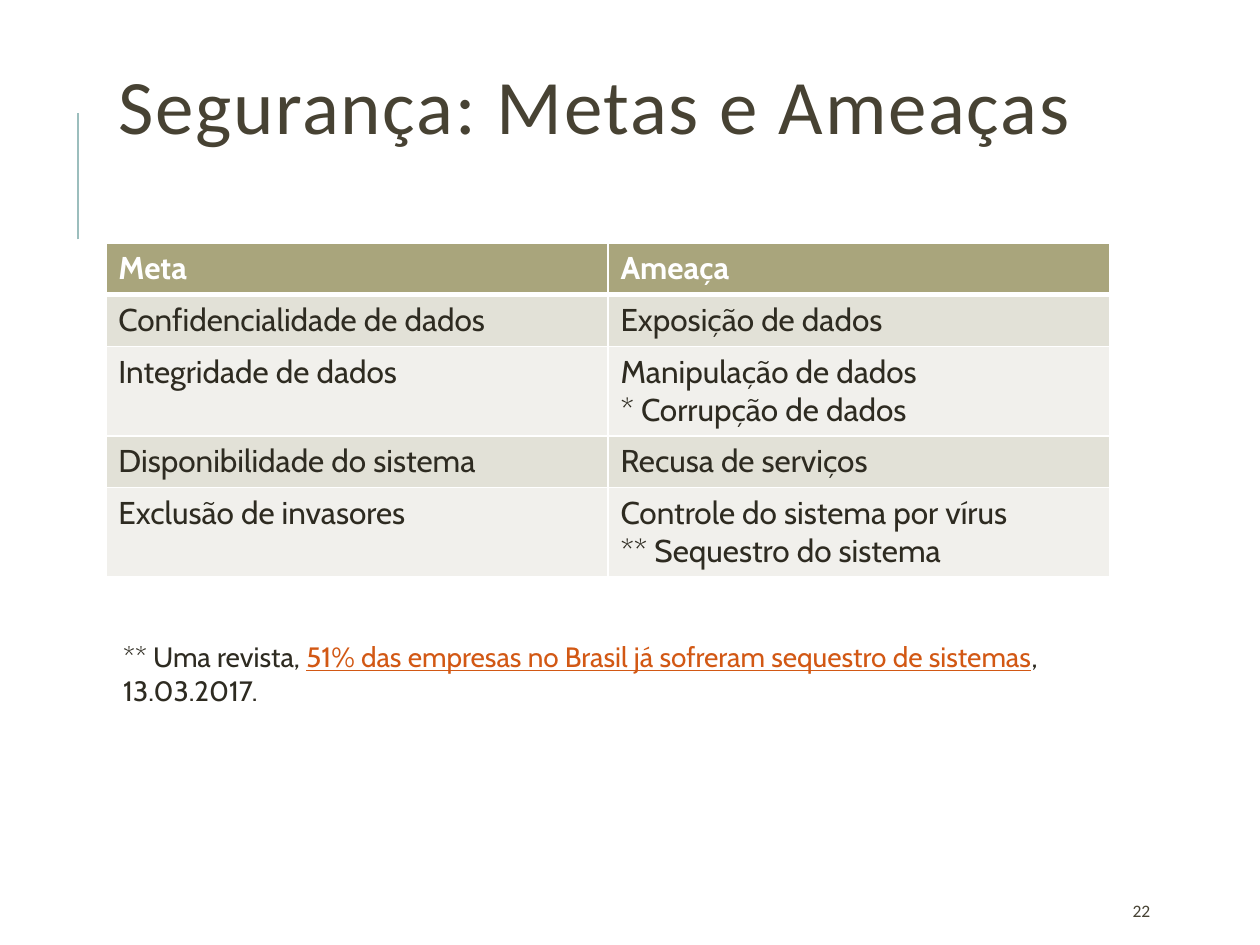
from dataclasses import dataclass

from lxml.etree import SubElement
from pptx import Presentation
from pptx.dml.color import RGBColor
from pptx.enum.shapes import MSO_CONNECTOR
from pptx.enum.text import MSO_ANCHOR
from pptx.oxml.ns import qn
from pptx.util import Inches, Pt


@dataclass(frozen=True)
class Theme:
    heading_font: str = "Calibri"
    body_font: str = "Cabin"
    heading: str = "474233"
    body: str = "2E2B21"
    white: str = "FFFFFF"
    accent: str = "9CBEBD"
    link: str = "D25814"
    header_fill: str = "A9A57C"
    band_fills: tuple = ("E2E1D7", "F1F0EC")
    title_size: int = 44
    table_size: int = 18
    source_size: int = 16
    number_size: int = 10


THEME = Theme()

GOALS_AND_THREATS = [
    ("Meta", "Ameaça"),
    ("Confidencialidade de dados", "Exposição de dados"),
    ("Integridade de dados", "Manipulação de dados\n* Corrupção de dados"),
    ("Disponibilidade do sistema", "Recusa de serviços"),
    ("Exclusão de invasores", "Controle do sistema por vírus\n** Sequestro do sistema"),
]


def add_text(paragraph, text, *, size, color=THEME.body, font=THEME.body_font,
             bold=False, underline=False, tracking=None):
    """Append a formatted run; tracking is in points."""
    run = paragraph.add_run()
    run.text = text
    run.font.name = font
    run.font.size = Pt(size)
    run.font.bold = bold
    run.font.underline = underline
    run.font.color.rgb = RGBColor.from_string(color)
    if tracking is not None:
        run.font._element.set("spc", str(round(tracking * 100)))


def add_text_frame(slide, box, wrap=True, anchor=MSO_ANCHOR.TOP):
    frame = slide.shapes.add_textbox(*map(Inches, box)).text_frame
    frame.word_wrap = wrap
    frame.vertical_anchor = anchor
    return frame


def add_title(slide, box):
    paragraph = add_text_frame(slide, box, anchor=MSO_ANCHOR.MIDDLE).paragraphs[0]
    paragraph.line_spacing = 0.8
    add_text(paragraph, "Segurança: Metas e Ameaças", size=THEME.title_size,
             color=THEME.heading, font=THEME.heading_font, tracking=1)


def add_accent_rule(slide, box):
    left, top, width, height = box
    rule = slide.shapes.add_connector(
        MSO_CONNECTOR.STRAIGHT, Inches(left), Inches(top + height),
        Inches(left + width), Inches(top))
    rule.line.color.rgb = RGBColor.from_string(THEME.accent)
    rule.line.width = Pt(1.5)
    SubElement(rule._element.spPr, qn("a:effectLst"))


def set_cell_borders(cell, widths):
    """Draw white borders; widths maps a side (L, R, T, B) to points."""
    properties = cell._tc.get_or_add_tcPr()
    for side in "LRTB":
        border = SubElement(properties, qn(f"a:ln{side}"), w=str(Pt(widths[side])))
        fill = SubElement(border, qn("a:solidFill"))
        SubElement(fill, qn("a:srgbClr"), val=THEME.white)


def add_goals_table(slide, box, row_height=0.41, extra_line=0.3):
    left, top, width, height = box
    column_count = len(GOALS_AND_THREATS[0])
    table = slide.shapes.add_table(
        len(GOALS_AND_THREATS), column_count, *map(Inches, box)).table
    for column in table.columns:
        column.width = Inches(width / column_count)
    for row_index, texts in enumerate(GOALS_AND_THREATS):
        is_header = row_index == 0
        extra_lines = max(text.count("\n") for text in texts)
        table.rows[row_index].height = Inches(row_height + extra_lines * extra_line)
        fill = THEME.header_fill if is_header else THEME.band_fills[(row_index - 1) % 2]
        widths = {"L": 1, "R": 1, "T": 3 if row_index == 1 else 1,
                  "B": 3 if is_header else 1}
        for column_index, text in enumerate(texts):
            cell = table.cell(row_index, column_index)
            set_cell_borders(cell, widths)
            cell.fill.solid()
            cell.fill.fore_color.rgb = RGBColor.from_string(fill)
            for line_index, line in enumerate(text.split("\n")):
                frame = cell.text_frame
                paragraph = frame.add_paragraph() if line_index else frame.paragraphs[0]
                add_text(paragraph, line, size=THEME.table_size, bold=is_header,
                         color=THEME.white if is_header else THEME.body)


def add_source_note(slide, box):
    paragraph = add_text_frame(slide, box, wrap=False).paragraphs[0]
    add_text(paragraph, "** Uma revista, ", size=THEME.source_size)
    add_text(paragraph, "51% das empresas no Brasil já sofreram sequestro de sistemas",
             size=THEME.source_size, color=THEME.link, underline=True)
    add_text(paragraph, ", 13.03.2017.", size=THEME.source_size)


def add_page_number(slide, box):
    frame = add_text_frame(slide, box, anchor=MSO_ANCHOR.MIDDLE)
    add_text(frame.paragraphs[0], "22", size=THEME.number_size,
             color=THEME.heading, font=THEME.heading_font)


def main():
    presentation = Presentation()
    presentation.slide_width = Inches(10)
    presentation.slide_height = Inches(7.5)
    slide = presentation.slides.add_slide(presentation.slide_layouts[6])
    add_accent_rule(slide, (0.62, 0.9, 0, 1))
    add_title(slide, (0.84, 0.07, 7.97, 1.64))
    add_goals_table(slide, (0.84, 1.93, 7.97, 2.62))
    add_source_note(slide, (0.88, 5.03, 8.56, 0.37))
    add_page_number(slide, (8.89, 7.08, 0.8, 0.3))
    presentation.save("out.pptx")


if __name__ == "__main__":
    main()
